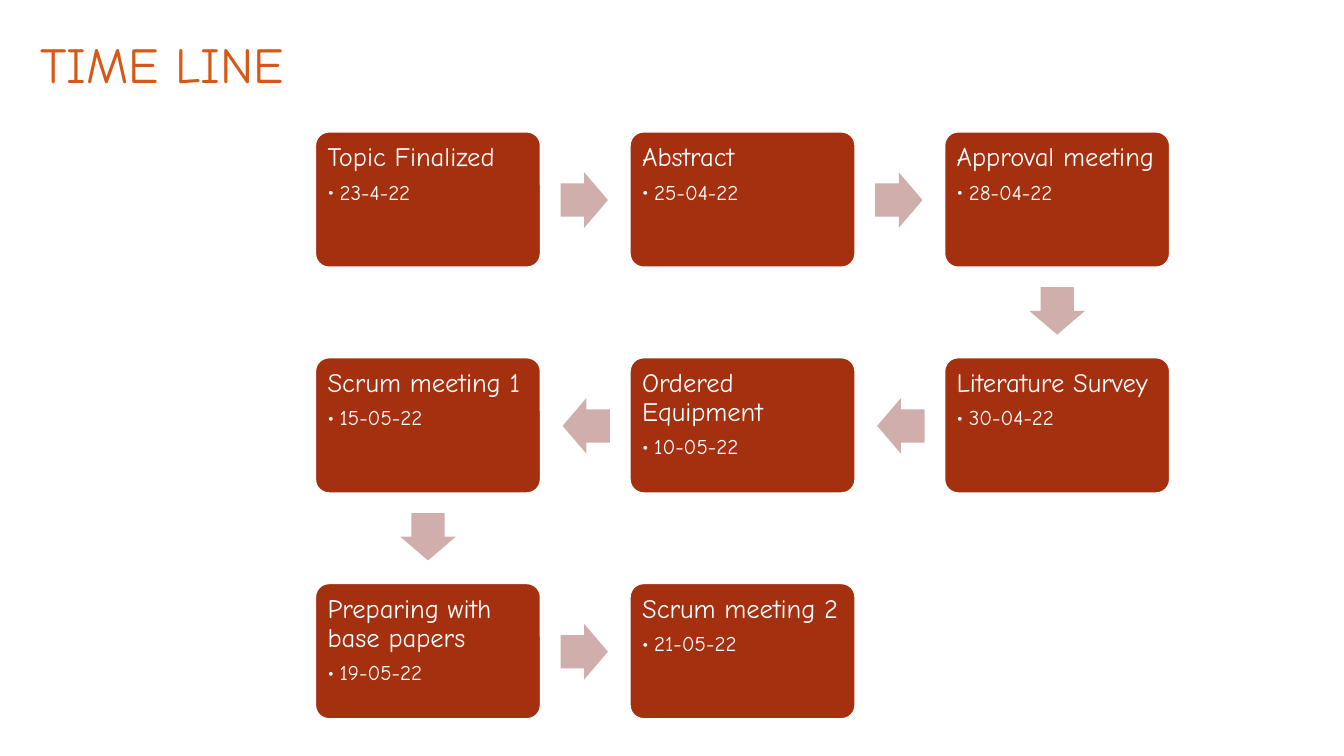
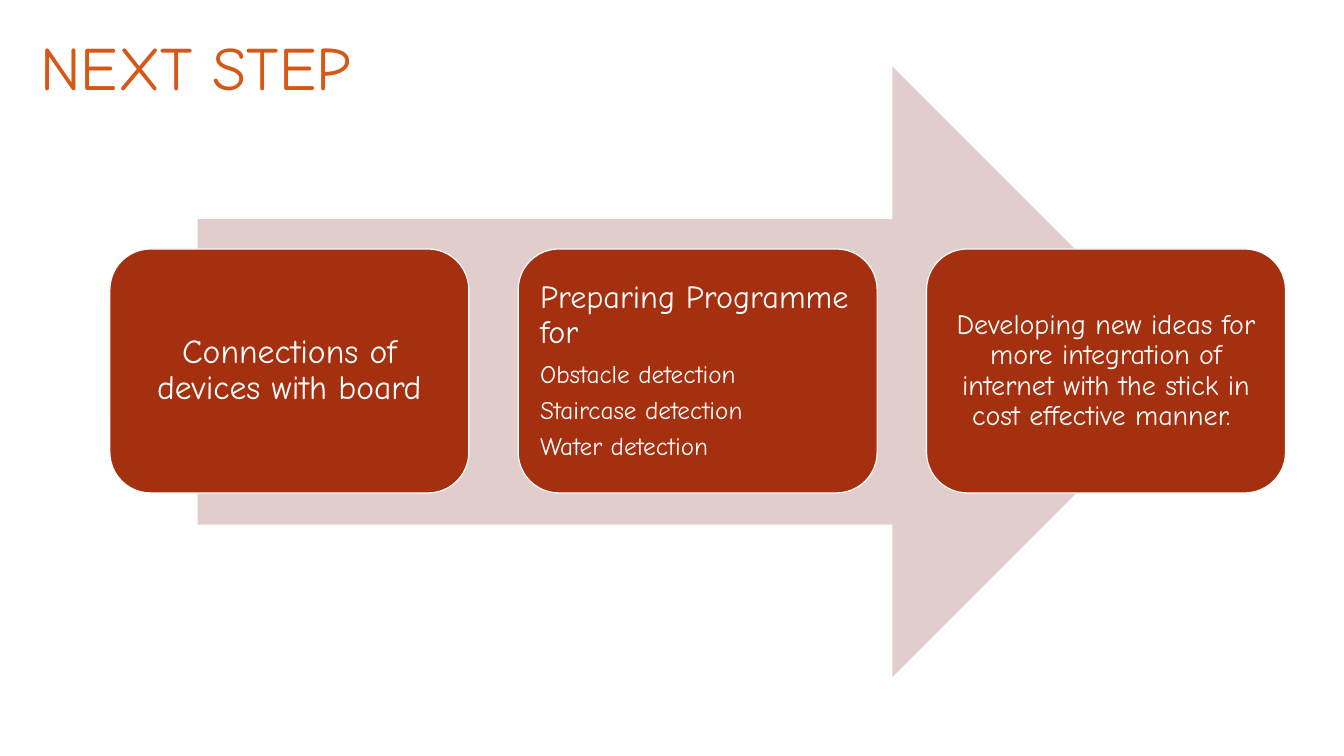
"""Build the project time line and next step slides."""
from lxml import etree
from pptx import Presentation
from pptx.dml.color import RGBColor
from pptx.enum.shapes import MSO_SHAPE
from pptx.enum.text import MSO_ANCHOR, MSO_AUTO_SIZE, PP_ALIGN
from pptx.oxml.ns import qn
from pptx.util import Pt

PX = 9144
FONT = "Comic Neue"
ORANGE = RGBColor(0xD5, 0x58, 0x16)
RUST = RGBColor(0xA5, 0x30, 0x0F)
ROSE = RGBColor(0xCF, 0xAE, 0xAB)
PALE_ROSE = RGBColor(0xE1, 0xCD, 0xCC)
WHITE = RGBColor(0xFF, 0xFF, 0xFF)
ROUNDED = MSO_SHAPE.ROUNDED_RECTANGLE
RIGHT_ARROW = MSO_SHAPE.RIGHT_ARROW
TOP, MIDDLE = MSO_ANCHOR.TOP, MSO_ANCHOR.MIDDLE
LEFT, CENTER = PP_ALIGN.LEFT, PP_ALIGN.CENTER
GROW = MSO_AUTO_SIZE.SHAPE_TO_FIT_TEXT
TITLE_ONLY = 5

COLUMNS = 3
MILESTONES = [
    ("Topic Finalized", "23-4-22"),
    ("Abstract", "25-04-22"),
    ("Approval meeting", "28-04-22"),
    ("Literature Survey", "30-04-22"),
    ("Ordered Equipment", "10-05-22"),
    ("Scrum meeting 1", "15-05-22"),
    ("Preparing with base papers", "19-05-22"),
    ("Scrum meeting 2", "21-05-22"),
]
ARROW_OFFSETS = {0: (155, 0), 90: (0, 110), 180: (-155, 0)}

NEXT_STEPS = [
    ([("Connections of devices with board", 24)], CENTER, 10),
    ([("Preparing Programme for", 23), ("Obstacle detection", 18),
      ("Staircase detection", 18), ("Water detection", 18)], LEFT, 10),
    ([("Developing new ideas for more integration of internet with "
       "the stick in cost effective manner. ", 20)], CENTER, 8),
]


def place(shape, left, top, width, height):
    """Move and size a shape in px."""
    shape.left, shape.top = left * PX, top * PX
    shape.width, shape.height = width * PX, height * PX


def format_runs(para, size, color):
    """Give every run of a paragraph the deck font."""
    for span in para.runs:
        span.font.name = FONT
        span.font.size = Pt(size)
        span.font.color.rgb = color


def add_page(deck, title, size, box):
    """Add a slide with its title at the top left."""
    page = deck.slides.add_slide(deck.slide_layouts[TITLE_ONLY])
    heading = page.shapes.title
    place(heading, *box)
    frame = heading.text_frame
    frame.text = title
    frame.word_wrap = True
    frame.auto_size = GROW
    frame.vertical_anchor = TOP
    frame.paragraphs[0].alignment = LEFT
    format_runs(frame.paragraphs[0], size, ORANGE)
    return page


def add_filled(page, kind, box, color, adjustments=()):
    """Add a flat preset shape without an outline."""
    shape = page.shapes.add_shape(kind, *(length * PX for length in box))
    shape.shadow.inherit = False
    shape.fill.solid()
    shape.fill.fore_color.rgb = color
    shape.line.fill.background()
    for index, value in enumerate(adjustments):
        shape.adjustments[index] = value
    return shape


def add_card(page, box, lines, anchor, alignment, inset, adjustments=()):
    """Add a rounded card holding (text, size) lines."""
    card = add_filled(page, ROUNDED, box, RUST, adjustments)
    card.line.color.rgb = WHITE
    card.line.width = Pt(0.85)
    frame = card.text_frame
    frame.word_wrap = True
    frame.vertical_anchor = anchor
    frame.margin_left = frame.margin_right = inset * PX
    frame.margin_top = frame.margin_bottom = inset * PX
    frame.text = "\n".join(text for text, _ in lines)
    for para, (_, size) in zip(frame.paragraphs, lines):
        para.alignment = alignment
        para.line_spacing = 0.9
        para.space_after = Pt(round(size * 0.35, 1))
        format_runs(para, size, WHITE)
    frame.paragraphs[-1].space_after = Pt(0)
    return card


def add_bullet(para, indent):
    """Turn a paragraph into a hanging second-level bullet."""
    para.level = 1
    properties = para._p.get_or_add_pPr()
    properties.set("marL", str(indent * PX))
    properties.set("indent", str(-indent * PX))
    etree.SubElement(properties, qn("a:buFont")).set("typeface", FONT)
    etree.SubElement(properties, qn("a:buChar")).set("char", "•")


def add_flow_arrow(page, center_x, center_y, rotation):
    """Add the small arrow that leaves a card centred at the given point."""
    across, down = ARROW_OFFSETS[rotation]
    width, height = 47, 55
    box = (center_x + across - width // 2, center_y + down - height // 2,
           width, height)
    arrow = add_filled(page, RIGHT_ARROW, box, ROSE, (0.6, 0.5))
    arrow.rotation = rotation


def add_timeline(deck):
    """Add the milestones as a grid that winds from row to row."""
    page = add_page(deck, "TIME LINE", 36, (30, 28, 314, 71))
    width, height = 223, 134
    for index, (name, date) in enumerate(MILESTONES):
        row, column = divmod(index, COLUMNS)
        backwards = row % 2 == 1
        if backwards:
            column = COLUMNS - 1 - column
        left, top = 313 + column * 312, 131 + row * 224
        card = add_card(page, (left, top, width, height),
                        [(name, 19), (date, 15)], TOP, LEFT, 8, (0.1,))
        add_bullet(card.text_frame.paragraphs[1], 12)
        if index < len(MILESTONES) - 1:
            ends_row = (index + 1) % COLUMNS == 0
            rotation = 90 if ends_row else 180 if backwards else 0
            add_flow_arrow(page, left + width // 2, top + height // 2,
                           rotation)


def add_next_steps(deck):
    """Add three cards lying across one large arrow."""
    page = add_page(deck, "NEXT STEP", 44, (30, 24, 447, 84))
    add_filled(page, RIGHT_ARROW, (196, 66, 992, 606), PALE_ROSE)
    for index, (lines, alignment, inset) in enumerate(NEXT_STEPS):
        box = (109 + index * 405, 247, 356, 242)
        add_card(page, box, lines, MIDDLE, alignment, inset)


def main():
    """Build and save the deck."""
    deck = Presentation()
    deck.slide_width, deck.slide_height = 1333 * PX, 750 * PX
    add_timeline(deck)
    add_next_steps(deck)
    deck.save("out.pptx")


if __name__ == "__main__":
    main()
